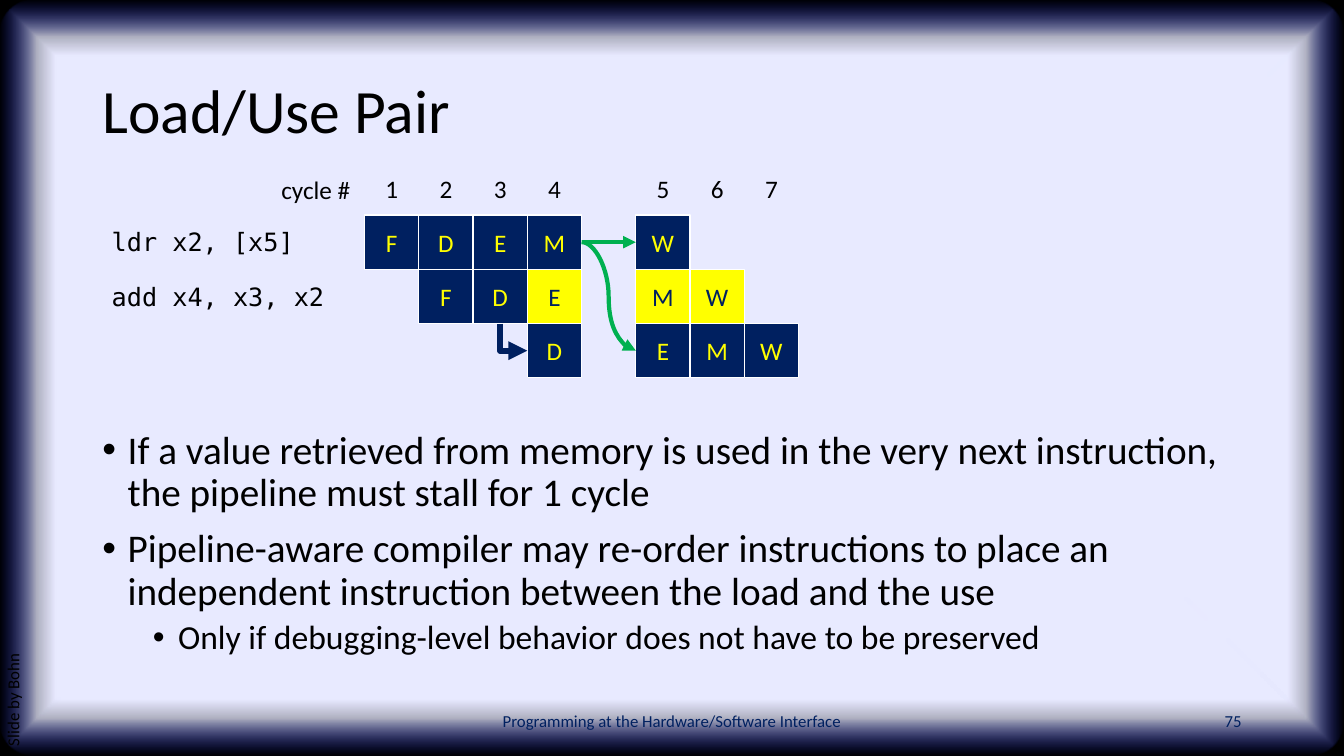
from lxml.etree import SubElement
from pptx import Presentation
from pptx.dml.color import RGBColor
from pptx.enum.shapes import MSO_CONNECTOR, MSO_SHAPE
from pptx.enum.text import MSO_ANCHOR, MSO_AUTO_SIZE, PP_ALIGN
from pptx.oxml import parse_xml
from pptx.oxml.ns import qn
from pptx.util import Pt

TITLE = "Load/Use Pair"
BULLETS = [  # level, size, space before, text
    (0, 28, 0, "If a value retrieved from memory is used in the very next "
               "instruction, the pipeline must stall for 1 cycle"),
    (0, 28, 10, "Pipeline-aware compiler may re-order instructions to place an "
                "independent instruction between the load and the use"),
    (1, 24, 5, "Only if debugging-level behavior does not have to be preserved"),
]
CYCLES = "1234 567"  # the gap is the stall
STAGES = ["FDEM W", " FDE MW", "   D EMW"]
STALLED = {(1, 3), (1, 5), (1, 6)}  # row, column
CODE = ["ldr x2, [x5]", "add x4, x3, x2"]
FOOTER = "Programming at the Hardware/Software Interface"
NUMBER = "75"
CREDIT = "Slide by Bohn"

COLORS = {"black": "000000", "navy": "002060", "yellow": "FFFF00",
          "white": "FFFFFF", "green": "00B050"}
SANS, MONO = "Calibri", "DejaVu Sans Mono"
WIDE, HIGH = 960, 540
LEFT, TOP, CELL = 260.4, 153.6, 38.75
RIGHT_SIDE, LEFT_SIDE, BOTTOM = 3, 1, 2  # connection sites of a cell
GLOW = """<a:gradFill xmlns:a="http://schemas.openxmlformats.org/drawingml/2006/main"
 rotWithShape="1"><a:gsLst>
<a:gs pos="85000"><a:srgbClr val="E8EAFF"/></a:gs>
<a:gs pos="90000"><a:srgbClr val="E8EAFF"><a:alpha val="75000"/></a:srgbClr></a:gs>
<a:gs pos="100000"><a:srgbClr val="162AFF"><a:alpha val="0"/></a:srgbClr></a:gs>
</a:gsLst><a:path path="shape">
<a:fillToRect l="50000" t="50000" r="50000" b="50000"/></a:path></a:gradFill>"""


def rgb(name):
    return RGBColor.from_string(COLORS[name])


def place(shape, x, y, w, h):
    shape.left, shape.top, shape.width, shape.height = Pt(x), Pt(y), Pt(w), Pt(h)


def style(para, size, color="black", font=SANS, align=PP_ALIGN.LEFT):
    para.alignment = align
    for run in para.runs:
        run.font.size, run.font.name = Pt(size), font
        run.font.color.rgb = rgb(color)


def label(slide, text, x, y, w, h, size=18, anchor=MSO_ANCHOR.MIDDLE,
          wrap=True, **look):
    box = slide.shapes.add_textbox(Pt(x), Pt(y), Pt(w), Pt(h))
    frame = box.text_frame
    frame.text, frame.word_wrap, frame.vertical_anchor = text, wrap, anchor
    style(frame.paragraphs[0], size, **look)
    return box


def backdrop(slide):
    slide.background.fill.solid()
    slide.background.fill.fore_color.rgb = rgb("black")
    panel = slide.shapes.add_shape(MSO_SHAPE.ROUNDED_RECTANGLE, 0, 0,
                                   Pt(WIDE), Pt(HIGH))
    panel.adjustments[0] = 0.048
    panel.shadow.inherit = False
    panel.line.fill.background()
    panel._element.spPr.find(qn("a:prstGeom")).addnext(parse_xml(GLOW))
    slide.shapes._spTree.insert(2, panel._element)  # behind the placeholders


def bullet(para, level):
    props = para._p.get_or_add_pPr()
    props.set("marL", str(Pt(18 + 36 * level)))
    props.set("indent", str(Pt(-18)))
    SubElement(props, qn("a:buFont")).set("typeface", "Arial")
    SubElement(props, qn("a:buChar")).set("char", "•")


def prose(slide):
    head, body = slide.placeholders
    place(head, 66, 28.8, 828, 104.4)
    head.text_frame.text = TITLE
    head.text_frame.vertical_anchor = MSO_ANCHOR.MIDDLE
    head.text_frame.paragraphs[0].line_spacing = 0.9
    style(head.text_frame.paragraphs[0], 44)

    place(body, 66, 303.8, 828, 182.2)
    frame = body.text_frame
    frame.text = "\n".join(text for *_, text in BULLETS)
    for para, (level, size, before, _) in zip(frame.paragraphs, BULLETS):
        para.level = level
        bullet(para, level)
        para.line_spacing, para.space_before = 0.9, Pt(before)
        style(para, size)
    for shape in (head, body):
        shape.text_frame.auto_size = MSO_AUTO_SIZE.NONE


def stage(slide, text, row, col):
    back, ink = ("yellow", "navy") if (row, col) in STALLED else ("navy", "yellow")
    cell = slide.shapes.add_shape(MSO_SHAPE.RECTANGLE, Pt(LEFT + col * CELL),
                                  Pt(TOP + row * CELL), Pt(CELL), Pt(CELL))
    cell.shadow.inherit = False
    cell.fill.solid()
    cell.fill.fore_color.rgb = rgb(back)
    cell.line.color.rgb, cell.line.width = rgb("white"), Pt(1)
    frame = cell.text_frame
    frame.margin_left = frame.margin_right = 0
    frame.text, frame.vertical_anchor = text, MSO_ANCHOR.MIDDLE
    style(frame.paragraphs[0], 18, ink, align=PP_ALIGN.CENTER)
    return cell


def arrow(slide, kind, start, site, end, color, width):
    link = slide.shapes.add_connector(kind, 0, 0, 0, 0)
    link.begin_connect(start, site)
    link.end_connect(end, LEFT_SIDE)
    link.line.color.rgb, link.line.width = rgb(color), Pt(width)
    SubElement(link.line._get_or_add_ln(), qn("a:tailEnd")).set("type", "triangle")
    SubElement(link._element.spPr, qn("a:effectLst"))
    return link


def pipeline(slide):
    for col, cycle in enumerate(CYCLES):
        if cycle != " ":
            label(slide, cycle, LEFT + col * CELL, TOP - CELL, CELL, CELL,
                  align=PP_ALIGN.CENTER)
    label(slide, "cycle #", 193.9, 120.9, 66.5, 29, wrap=False,
          anchor=MSO_ANCHOR.TOP)
    for row, line in enumerate(CODE):
        label(slide, line, 72.7, TOP + row * CELL + 4.8, 168, 29, wrap=False,
              anchor=MSO_ANCHOR.TOP, font=MONO)
    cells = {(row, col): stage(slide, text, row, col)
             for row, line in enumerate(STAGES)
             for col, text in enumerate(line) if text != " "}

    loaded = cells[0, 3]
    arrow(slide, MSO_CONNECTOR.CURVE, loaded, RIGHT_SIDE, cells[2, 5], "green", 3)
    arrow(slide, MSO_CONNECTOR.STRAIGHT, loaded, RIGHT_SIDE, cells[0, 5], "green", 3)
    retry = arrow(slide, MSO_CONNECTOR.ELBOW, cells[1, 2], BOTTOM, cells[2, 3],
                  "navy", 4.5)
    # One corner, turned to run down and then right
    props = retry._element.spPr
    props.find(qn("a:prstGeom")).set("prst", "bentConnector2")
    turn = props.find(qn("a:xfrm"))
    turn.set("rot", "16200000")
    turn.set("flipH", "1")


def main():
    deck = Presentation()
    deck.slide_width, deck.slide_height = Pt(WIDE), Pt(HIGH)
    slide = deck.slides.add_slide(deck.slide_layouts[1])
    backdrop(slide)
    prose(slide)
    label(slide, FOOTER, 318, 500.5, 324, 28.75, 12, color="navy",
          align=PP_ALIGN.CENTER)
    label(slide, NUMBER, 678, 500.5, 216, 28.75, 12, color="navy",
          align=PP_ALIGN.RIGHT)
    credit = label(slide, CREDIT, -175.7, 335.5, 380.2, 28.8, 12,
                   anchor=MSO_ANCHOR.TOP)
    credit.text_frame.paragraphs[0].line_spacing = 0.9
    credit.rotation = 270
    pipeline(slide)
    deck.save("out.pptx")


if __name__ == "__main__":
    main()
